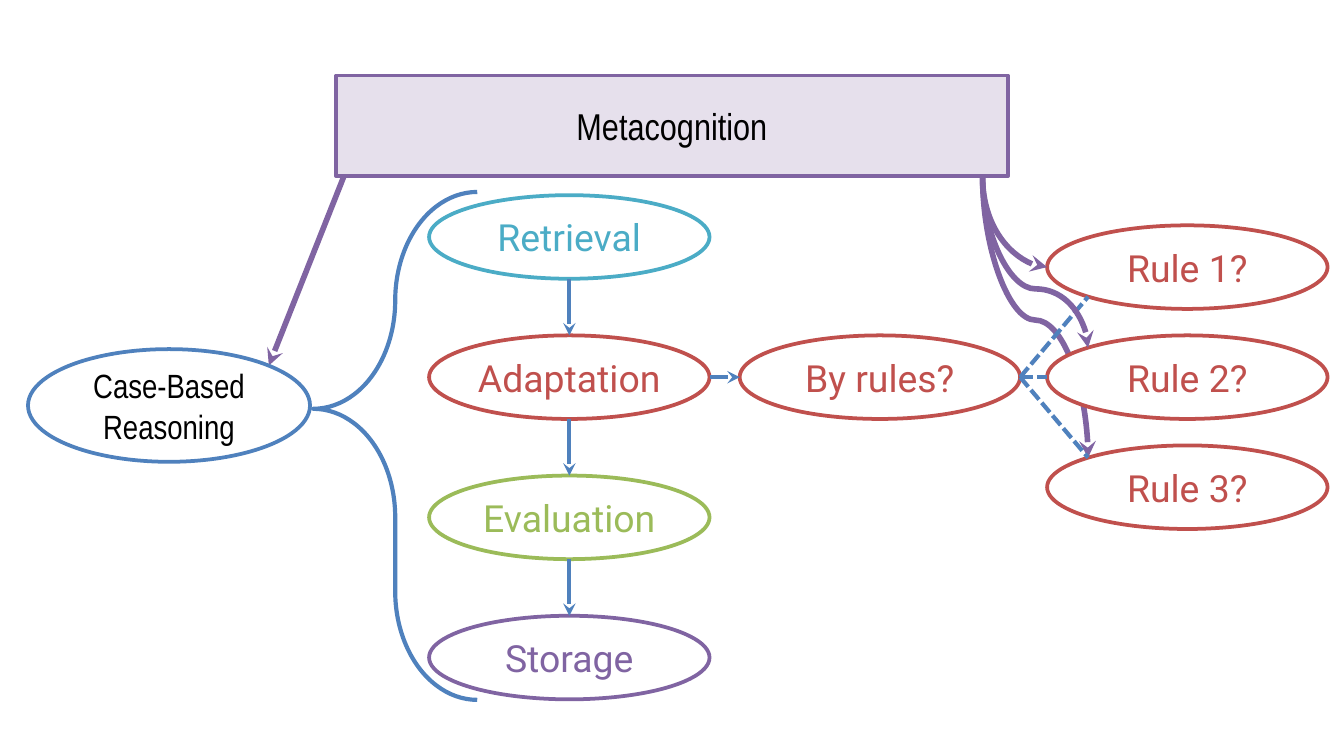
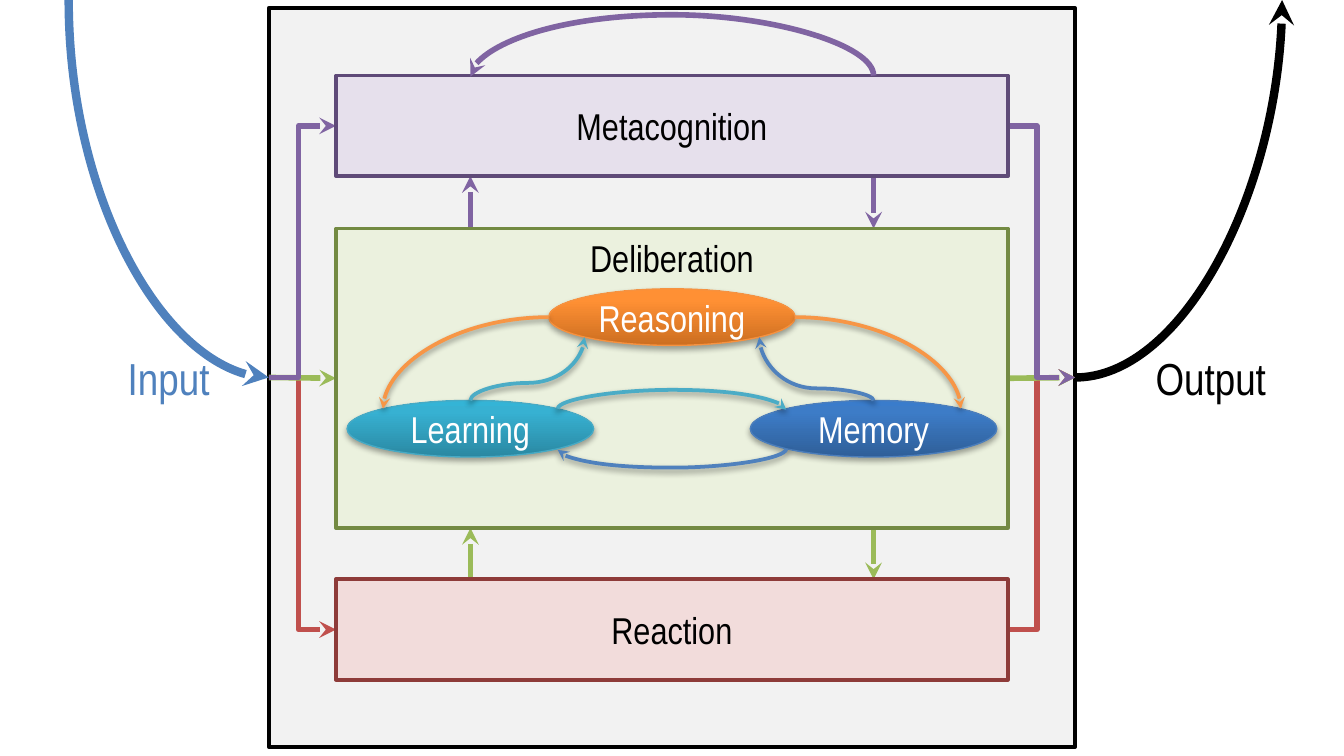
from dataclasses import dataclass

from lxml import etree
from pptx import Presentation
from pptx.dml.color import RGBColor
from pptx.enum.dml import MSO_LINE
from pptx.enum.shapes import MSO_CONNECTOR, MSO_SHAPE
from pptx.enum.text import MSO_ANCHOR, MSO_AUTO_SIZE, PP_ALIGN
from pptx.oxml import parse_xml
from pptx.oxml.ns import nsdecls, qn
from pptx.util import Cm, Pt

RECT, OVAL, BRACE = MSO_SHAPE.RECTANGLE, MSO_SHAPE.OVAL, MSO_SHAPE.LEFT_BRACE
STRAIGHT, ELBOW, CURVE = MSO_CONNECTOR.STRAIGHT, MSO_CONNECTOR.ELBOW, MSO_CONNECTOR.CURVE
LEFT, CENTER, RIGHT = PP_ALIGN.LEFT, PP_ALIGN.CENTER, PP_ALIGN.RIGHT
TOP, MIDDLE = MSO_ANCHOR.TOP, MSO_ANCHOR.MIDDLE
DASH = MSO_LINE.SQUARE_DOT
FIT = MSO_AUTO_SIZE.SHAPE_TO_FIT_TEXT


@dataclass(frozen=True)
class Theme:
    black: str = "000000"
    white: str = "FFFFFF"
    grey: str = "F2F2F2"
    blue: str = "4F81BD"
    teal: str = "4BACC6"
    red: str = "C0504D"
    green: str = "9BBB59"
    purple: str = "8064A2"
    orange: str = "F79646"
    pale_purple: str = "E6E0EC"
    pale_green: str = "EBF1DE"
    pale_red: str = "F2DCDB"
    dark_purple: str = "5F4A78"
    dark_green: str = "738A42"
    dark_red: str = "8E3B39"
    font: str = "Arial Narrow"
    node_font: str = "Roboto"
    small: int = 18
    body: int = 20
    large: int = 24


T = Theme()

# Shared geometry in cm: boxes are (left, top, width, height)
META = (6.35, 1.43, 12.7, 1.9)
NEAR, FAR = 0.146, 0.854  # where an ellipse meets its diagonals


def site(box, fx, fy):
    """Point at the given fractions of a box."""
    x, y, w, h = box
    return x + w * fx, y + h * fy


# Element builders
def write(sp, text, font=T.font, size=T.body, color=T.black, align=CENTER,
          anchor=MIDDLE, wrap=True, inset=None):
    tf = sp.text_frame
    tf.word_wrap = wrap
    tf.vertical_anchor = anchor
    if inset is not None:
        tf.margin_left = tf.margin_right = tf.margin_top = tf.margin_bottom = Cm(inset)
    p = tf.paragraphs[0]
    p.alignment = align
    r = p.add_run()
    r.text = text
    r.font.name, r.font.size = font, Pt(size)
    r.font.color.rgb = RGBColor.from_string(color)


def add_shadow(effects, alpha, distance):
    effects.append(parse_xml(
        f'<a:outerShdw {nsdecls("a")} blurRad="40000" dist="{distance}" dir="5400000" '
        f'rotWithShape="0"><a:srgbClr val="000000"><a:alpha val="{alpha}"/>'
        '</a:srgbClr></a:outerShdw>'))


def add_box(s, kind, box, line, fill=None, width=2.0):
    sp = s.shapes.add_shape(kind, *map(Cm, box))
    sp.shadow.inherit = False
    if fill:
        sp.fill.solid()
        sp.fill.fore_color.rgb = RGBColor.from_string(fill)
    else:
        sp.fill.background()
    sp.line.color.rgb = RGBColor.from_string(line)
    sp.line.width = Pt(width)
    return sp


def add_layer(s, text, box, line, fill, **text_format):
    write(add_box(s, RECT, box, line, fill), text, **text_format)


def add_node(s, text, box, color):
    write(add_box(s, OVAL, box, color, T.white), text, font=T.node_font,
          color=color, wrap=False, inset=0)


def add_glossy_node(s, text, box, line, shades):
    sp = add_box(s, OVAL, box, line, width=0.75)
    stops = "".join(f'<a:gs pos="{pos}"><a:srgbClr val="{shade}"/></a:gs>'
                    for pos, shade in zip((0, 80000, 100000), shades))
    gradient = parse_xml(f'<a:gradFill {nsdecls("a")} rotWithShape="1"><a:gsLst>{stops}'
                         '</a:gsLst><a:lin ang="16200000" scaled="0"/></a:gradFill>')
    sppr = sp.element.spPr
    sppr.replace(sppr.find(qn("a:noFill")), gradient)
    add_shadow(sppr.find(qn("a:effectLst")), 35000, 23000)
    write(sp, text, color=T.white)


def add_label(s, text, box, **text_format):
    sp = s.shapes.add_textbox(*map(Cm, box))
    write(sp, text, size=T.large, anchor=TOP, wrap=False, **text_format)
    sp.text_frame.auto_size = FIT


def connect(s, start, end, color, width=3.0, kind=STRAIGHT, bend=None, vertical=False,
            arrow="tailEnd", dash=None, shadow=False):
    """Join two points; bend is the x (or y, if vertical) of the middle stretch.

    A vertical connector leaves its start up or down, the others sideways.
    A curve without a bend is a single quarter turn.
    """
    (x1, y1), (x2, y2) = start, end
    if vertical and y1 == y2:
        y2 += 0.02  # the bend is a ratio of this distance
    dx, dy = x2 - x1, y2 - y1
    u, v = (dy, -dx) if vertical else (dx, dy)
    cx, cy = (x1 + x2) / 2, (y1 + y2) / 2
    c = s.shapes.add_connector(kind, *map(Cm, (cx - u / 2, cy - v / 2,
                                               cx + u / 2, cy + v / 2)))
    sppr = c._element.spPr
    geometry = sppr.find(qn("a:prstGeom"))
    if vertical:
        sppr.find(qn("a:xfrm")).set("rot", "5400000")
    if bend is not None:
        ratio = (bend - (y1 if vertical else x1)) / u
        guide = etree.SubElement(geometry.find(qn("a:avLst")), qn("a:gd"))
        guide.set("name", "adj1")
        guide.set("fmla", f"val {round(ratio * 100000)}")
    elif kind == CURVE:
        geometry.set("prst", "curvedConnector2")

    c.line.color.rgb = RGBColor.from_string(color)
    c.line.width = Pt(width)
    if dash:
        c.line.dash_style = dash
    if arrow:
        etree.SubElement(sppr.find(qn("a:ln")), qn(f"a:{arrow}")).set("type", "stealth")
    effects = etree.SubElement(sppr, qn("a:effectLst"))
    if shadow:
        add_shadow(effects, 38000, 20000)


# Slide 1: metacognition over case-based reasoning
def build_strategy_slide(s):
    node_w, node_h = 5.3, 1.58
    steps = [("Retrieval", T.teal), ("Adaptation", T.red),
             ("Evaluation", T.green), ("Storage", T.purple)]
    step_boxes = [(8.11, 3.69 + 2.65 * i, node_w, node_h) for i in range(len(steps))]
    middle = step_boxes[1][1]
    by_rules = (13.98, middle, node_w, node_h)
    rules = [(19.79, middle + 2.08 * i, node_w, node_h) for i in (-1, 0, 1)]
    case = (0.53, 6.6, 5.33, 2.13)
    source = (18.57, META[1] + META[3])
    guide = dict(color=T.purple, kind=CURVE, vertical=True)

    # Metacognition and the case-based process
    connect(s, source, site(rules[2], NEAR, NEAR), bend=6.05, **guide)
    add_layer(s, "Metacognition", META, T.purple, T.pale_purple)
    connect(s, (6.5, source[1]), site(case, FAR, NEAR), T.purple)
    write(add_box(s, OVAL, case, T.blue, T.white), "Case-Based Reasoning", size=T.small)
    brace = add_box(s, BRACE, (5.92, 3.63, 3.1, 9.6), T.blue, width=2.25)
    brace.adjustments[0], brace.adjustments[1] = 0.78, 0.52
    brace.adjustments[0], brace.adjustments[1] = 0.776, 0.427

    # Process steps
    for (text, color), box in zip(steps, step_boxes):
        add_node(s, text, box, color)
    for upper, lower in zip(step_boxes, step_boxes[1:]):
        connect(s, site(upper, 0.5, 1), site(lower, 0.5, 0), T.blue, 2.25)

    # Rules
    add_node(s, "By rules?", by_rules, T.red)
    connect(s, site(step_boxes[1], 1, 0.5), site(by_rules, 0, 0.5), T.blue, 2.25)
    for i in (1, 0, 2):
        add_node(s, f"Rule {i + 1}?", rules[i], T.red)
    for rule, fx, fy in zip(rules, (NEAR, 0, NEAR), (FAR, 0.5, NEAR)):
        connect(s, site(by_rules, 1, 0.5), site(rule, fx, fy), T.blue, 2.25,
                arrow=None, dash=DASH)
    connect(s, source, site(rules[0], 0, 0.5), **guide)
    connect(s, source, site(rules[1], NEAR, NEAR), bend=5.46, **guide)


# Slide 2: the three layers of the agent
def build_architecture_slide(s):
    agent = (5.08, 0.15, 15.24, 13.97)
    deliberation = (META[0], 4.32, META[2], 5.66)
    reaction = (META[0], 10.95, META[2], META[3])
    up_x, down_x = 8.89, 16.51
    entry, leave = site(agent, 0, 0.5), site(agent, 1, 0.5)
    add_box(s, RECT, agent, T.black, T.grey)

    # Flow through each layer, then between neighbouring layers
    def pass_through(layer, color, **route):
        connect(s, entry, site(layer, 0, 0.5), color, **route,
                **({"bend": 5.64} if route else {}))
        connect(s, site(layer, 1, 0.5), leave, color, **route,
                **({"bend": 19.6} if route else {}))

    def exchange(upper, lower, color):
        top, bottom = upper[1] + upper[3], lower[1]
        connect(s, (up_x, bottom), (up_x, top), color)
        connect(s, (down_x, top), (down_x, bottom), color)

    pass_through(reaction, T.red, kind=ELBOW)
    pass_through(deliberation, T.green)
    exchange(deliberation, reaction, T.green)
    pass_through(META, T.purple, kind=ELBOW)
    exchange(META, deliberation, T.purple)

    # Layers
    add_layer(s, "Reaction", reaction, T.dark_red, T.pale_red)
    add_layer(s, "Deliberation", deliberation, T.dark_green, T.pale_green, anchor=TOP)
    add_layer(s, "Metacognition", META, T.dark_purple, T.pale_purple)

    # Parts of deliberation
    oval_w, oval_h = 4.66, 1.07
    reasoning = (10.37, 5.46, oval_w, oval_h)
    learning = (6.56, 7.57, oval_w, oval_h)
    memory = (14.18, 7.57, oval_w, oval_h)
    add_glossy_node(s, "Reasoning", reasoning, "F69240", ("CC6E20", "FF9034", "FF9136"))
    add_glossy_node(s, "Learning", learning, "46AAC5", ("2A88A2", "37B1D2", "34B4D6"))
    add_glossy_node(s, "Memory", memory, "4B7EBC", ("2F5F99", "3D7CC7", "3A7CCB"))

    links = [
        (site(memory, NEAR, FAR), site(learning, FAR, FAR), T.blue, 8.84),
        (site(learning, FAR, NEAR), site(memory, NEAR, NEAR), T.teal, 7.37),
        (site(memory, 0.5, 0), site(reasoning, FAR, FAR), T.blue, 7.34),
        (site(reasoning, 1, 0.5), site(memory, FAR, NEAR), T.orange, None),
        (site(learning, 0.5, 0), site(reasoning, NEAR, FAR), T.teal, 7.24),
        (site(reasoning, 0, 0.5), site(learning, NEAR, NEAR), T.orange, None),
    ]
    for start, end, color, bend in links:
        connect(s, start, end, color, 2, kind=CURVE, bend=bend,
                vertical=bend is not None, shadow=True)

    # Input, output and self-reflection
    add_label(s, "Input", (2.13, 6.5, 2.08, 1.28), color=T.blue, align=RIGHT)
    add_label(s, "Output", (21.59, 6.5, 2.62, 1.28), align=LEFT)
    connect(s, (24.23, 0), leave, T.black, 4.5, kind=CURVE, vertical=True, arrow="headEnd")
    connect(s, entry, (1.3, 0), T.blue, 4.5, kind=CURVE, arrow="headEnd")
    connect(s, (down_x, META[1]), (up_x, META[1]), T.purple, kind=CURVE,
            bend=0.28, vertical=True)


def main():
    prs = Presentation()
    prs.slide_width, prs.slide_height = Cm(25.4), Cm(14.29)
    blank = prs.slide_layouts[6]
    for build in (build_strategy_slide, build_architecture_slide):
        build(prs.slides.add_slide(blank))
    prs.save("out.pptx")


if __name__ == "__main__":
    main()
